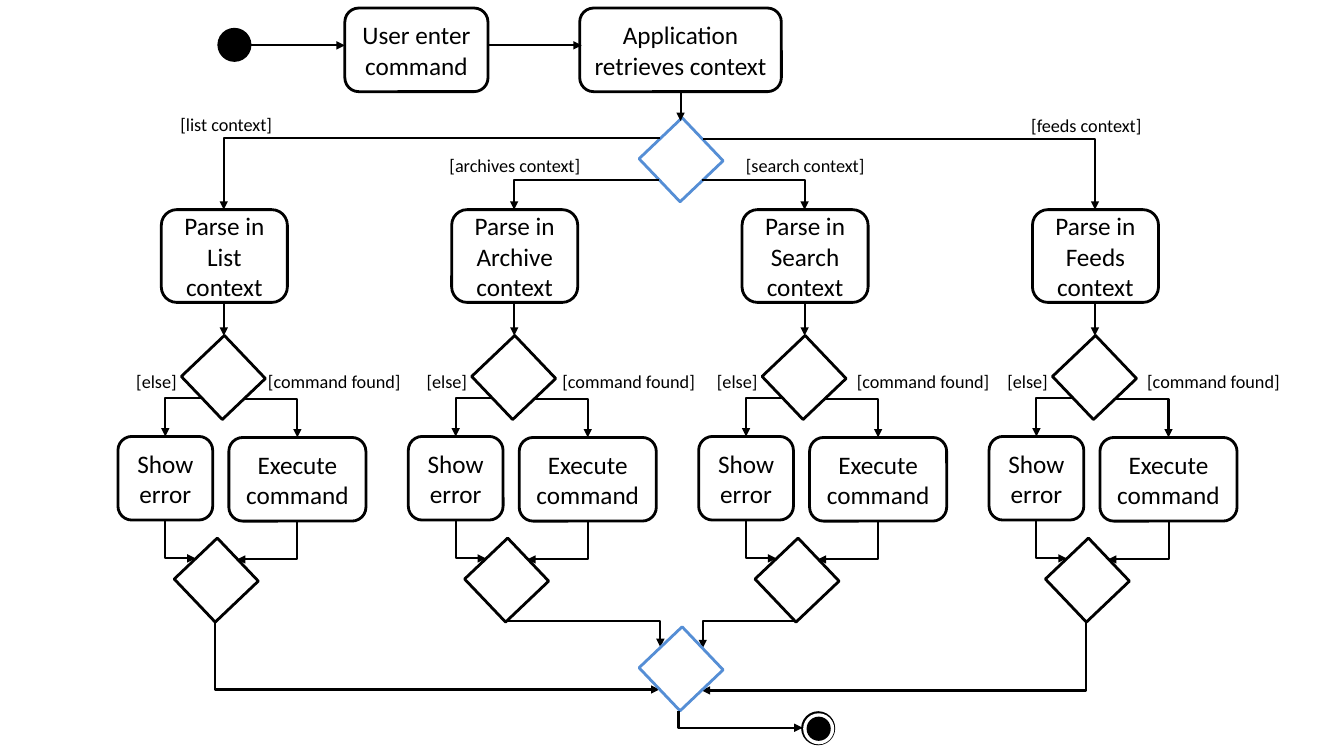
from dataclasses import dataclass

from lxml.etree import SubElement
from pptx import Presentation
from pptx.dml.color import RGBColor
from pptx.enum.shapes import MSO_CONNECTOR as Link, MSO_SHAPE as Form
from pptx.enum.text import MSO_ANCHOR as Anchor, MSO_AUTO_SIZE as AutoSize, PP_ALIGN as Align
from pptx.oxml.ns import qn
from pptx.util import Inches, Pt


@dataclass(frozen=True)
class Theme:
    """Colours, type sizes and line widths of the diagram."""
    ink: RGBColor = RGBColor(0x00, 0x00, 0x00)
    paper: RGBColor = RGBColor(0xFF, 0xFF, 0xFF)
    accent: RGBColor = RGBColor(0x55, 0x8E, 0xD5)
    font: str = "Calibri"
    action_size: Pt = Pt(18)
    guard_size: Pt = Pt(13)
    outline: Pt = Pt(2)
    flow: Pt = Pt(1.5)


@dataclass(frozen=True)
class Branch:
    """One context: its action, guard label and label positions."""
    action: str
    guard: str
    guard_left: float
    guard_top: float
    fork: tuple
    found_gap: float


THEME = Theme()
BRANCHES = (
    Branch("Parse in List context", "[list context]", 1.69, 1.07, (6.55, 1.37), 0.34),
    Branch("Parse in Archive context", "[archives context]", 4.36, 1.48, (6.54, 1.79), 0.38),
    Branch("Parse in Search context", "[search context]", 7.3, 1.48, (6.96, 1.79), 0.42),
    Branch("Parse in Feeds context", "[feeds context]", 10.13, 1.08, (6.97, 1.38), 0.42),
)
JOINS = ((6.54, 6.84), (6.55, 6.42), (6.97, 6.43), (6.96, 6.85))
FIRST_AXIS, PITCH = 2.22, 2.88
HUB_AXIS = 6.75


def style_text(frame, text, size, align):
    """Write one paragraph in the theme font."""
    frame.word_wrap = True
    para = frame.paragraphs[0]
    para.text = text
    para.alignment = align
    para.font.name = THEME.font
    para.font.size = size
    para.font.color.rgb = THEME.ink


def add_form(shapes, form, left, top, width, height, fill=None, line=THEME.ink):
    """Add a shape without shadow, with optional fill and line."""
    shape = shapes.add_shape(form, Inches(left), Inches(top), Inches(width), Inches(height))
    shape.shadow.inherit = False
    for paint, colour in ((shape.fill, fill), (shape.line.fill, line)):
        if colour is None:
            paint.background()
        else:
            paint.solid()
            paint.fore_color.rgb = colour
    if line is not None:
        shape.line.width = THEME.outline
    return shape


def add_action(shapes, text, left, top, width, height=0.83):
    """Add a rounded action box."""
    box = add_form(shapes, Form.ROUNDED_RECTANGLE, left, top, width, height)
    box.text_frame.vertical_anchor = Anchor.MIDDLE
    style_text(box.text_frame, text, THEME.action_size, Align.CENTER)


def add_decision(shapes, left, top, line=THEME.ink):
    """Add a decision or merge node, a square standing on its corner."""
    add_form(shapes, Form.RECTANGLE, left, top, 0.59, 0.59, line=line).rotation = 46.4


def add_circle(shapes, left, top, size, fill, line):
    """Add a filled circle."""
    return add_form(shapes, Form.OVAL, left, top, size, size, fill, line)


def add_guard(shapes, text, left, top, width, align=Align.LEFT):
    """Add a guard label."""
    box = shapes.add_textbox(Inches(left), Inches(top), Inches(width), Inches(0.32))
    style_text(box.text_frame, text, THEME.guard_size, align)
    box.text_frame.auto_size = AutoSize.SHAPE_TO_FIT_TEXT


def add_arrow(shapes, start, end, kind=Link.STRAIGHT):
    """Add a connector with an arrowhead at its end."""
    arrow = shapes.add_connector(kind, *(Inches(length) for length in (*start, *end)))
    arrow.line.color.rgb = THEME.ink
    arrow.line.width = THEME.flow
    line = arrow.line._get_or_add_ln()
    SubElement(line, qn("a:tailEnd"), type="triangle")
    SubElement(arrow._element.spPr, qn("a:effectLst"))
    return arrow


def add_across(shapes, start, end):
    """Add an arrow with one bend that runs sideways first."""
    arrow = add_arrow(shapes, start, end, Link.ELBOW)
    arrow._element.spPr.find(qn("a:prstGeom")).set("prst", "bentConnector2")
    return arrow


def add_down(shapes, start, end):
    """Add an arrow with one bend that drops first, as a quarter turn of add_across."""
    middle_x, middle_y = (start[0] + end[0]) / 2, (start[1] + end[1]) / 2
    half_x, half_y = (end[0] - start[0]) / 2, (end[1] - start[1]) / 2
    arrow = add_across(shapes, (middle_x - half_y, middle_y + half_x),
                       (middle_x + half_y, middle_y - half_x))
    arrow._element.spPr.find(qn("a:xfrm")).set("rot", str(90 * 60000))


def add_start(shapes):
    """Add the start node, the first two actions and the context decision."""
    add_circle(shapes, 2.17, 0.29, 0.31, THEME.ink, THEME.ink)
    add_action(shapes, "User enter command", 3.42, 0.08, 1.42)
    add_action(shapes, "Application retrieves context", 5.75, 0.08, 2)
    add_decision(shapes, 6.46, 1.29, THEME.accent)
    add_arrow(shapes, (2.48, 0.45), (3.42, 0.45))
    add_arrow(shapes, (4.83, 0.45), (5.77, 0.45))
    add_arrow(shapes, (HUB_AXIS, 0.92), (HUB_AXIS, 1.2))


def add_branch(shapes, branch, axis, join):
    """Add one context branch from the fork to the final merge."""
    error_axis, execute_axis = axis - 0.58, axis + 0.73
    add_across(shapes, branch.fork, (axis, 2.08))
    add_guard(shapes, branch.guard, branch.guard_left, branch.guard_top, 2.1)
    add_action(shapes, branch.action, axis - 0.62, 2.08, 1.25, 0.92)
    add_arrow(shapes, (axis, 3), (axis, 3.33))
    add_decision(shapes, axis - 0.3, 3.45)
    add_guard(shapes, "[else]", axis - 1.47 - 0.11 + 0.1, 3.62, 1.11, Align.RIGHT)
    add_guard(shapes, "[command found]", axis + branch.found_gap, 3.62, 1.63)
    add_across(shapes, (axis - 0.22, 3.95), (error_axis, 4.33))
    add_across(shapes, (axis + 0.2, 3.96), (execute_axis, 4.34))
    add_action(shapes, "Show error", error_axis - 0.47, 4.33, 0.94)
    add_action(shapes, "Execute command", execute_axis - 0.68, 4.34, 1.36)
    add_down(shapes, (error_axis, 5.17), (axis - 0.28, 5.54))
    add_down(shapes, (execute_axis, 5.17), (axis + 0.13, 5.55))
    add_decision(shapes, axis - 0.37, 5.46)
    merge_foot = (axis - 0.09, 6.16)
    if abs(axis - HUB_AXIS) > PITCH:
        add_down(shapes, merge_foot, join)
    else:
        add_across(shapes, merge_foot, join)


def add_end(shapes):
    """Add the final merge and the ringed end node."""
    add_decision(shapes, 6.46, 6.34, THEME.accent)
    add_down(shapes, (6.73, 7.05), (7.96, 7.22))
    ring = shapes.add_group_shape().shapes
    add_circle(ring, 7.96, 7.07, 0.31, THEME.ink, THEME.ink)
    add_circle(ring, 7.98, 7.09, 0.28, THEME.paper, THEME.paper)
    add_circle(ring, 8, 7.11, 0.24, THEME.ink, None)


def main():
    """Build the activity diagram and save the deck."""
    deck = Presentation()
    deck.slide_width, deck.slide_height = Inches(13.33), Inches(7.5)
    page = deck.slides.add_slide(deck.slide_layouts[6])
    add_start(page.shapes)
    for index, (branch, join) in enumerate(zip(BRANCHES, JOINS)):
        add_branch(page.shapes, branch, FIRST_AXIS + index * PITCH, join)
    add_end(page.shapes)
    deck.save("out.pptx")


main()
